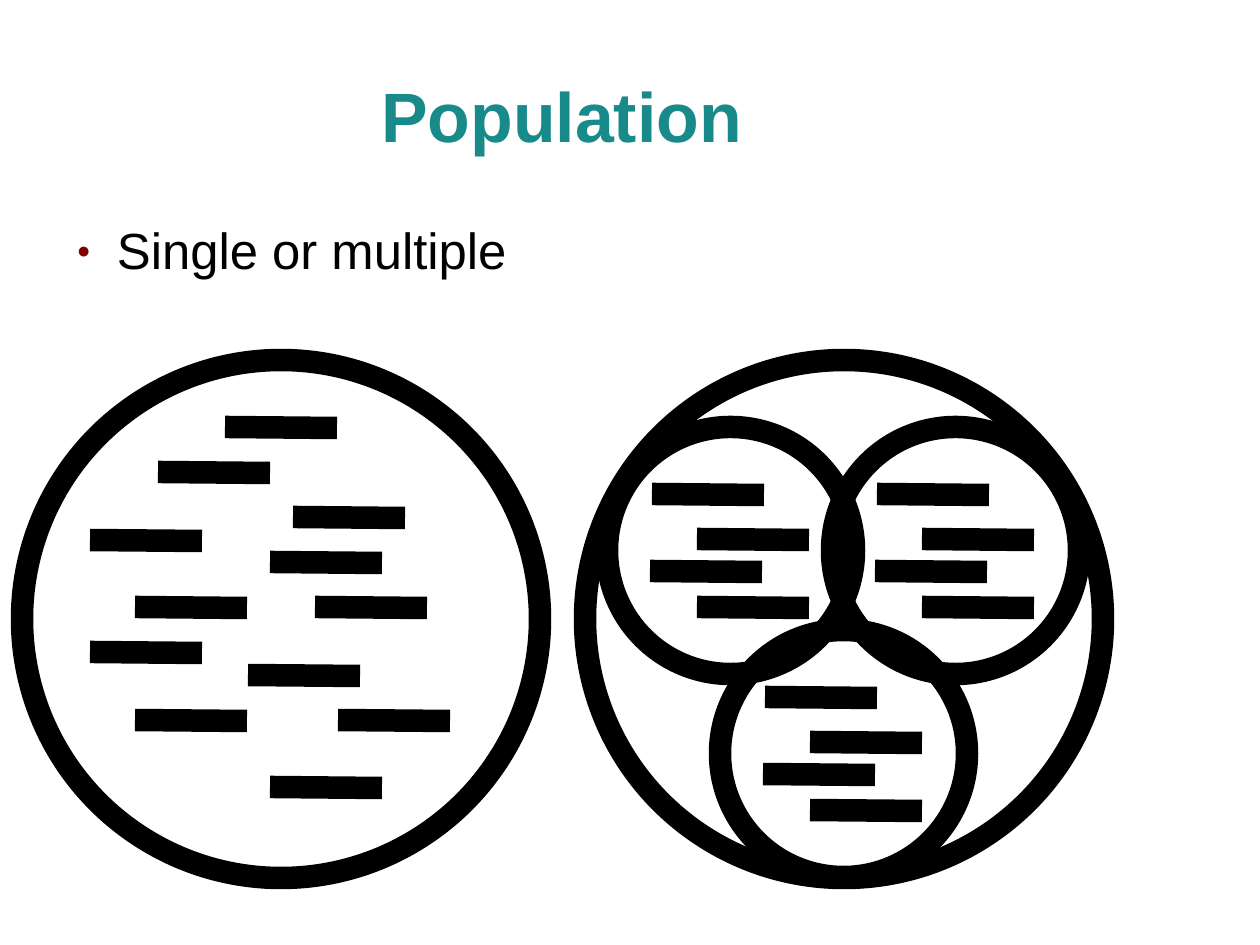
from lxml.etree import SubElement
from pptx import Presentation
from pptx.dml.color import RGBColor
from pptx.enum.shapes import MSO_CONNECTOR as Connector, MSO_SHAPE as Shape
from pptx.enum.text import MSO_ANCHOR as Anchor, PP_ALIGN as Align
from pptx.oxml.ns import qn
from pptx.util import Pt

PX = 8000  # EMU
BLACK = RGBColor(0x00, 0x00, 0x00)
TEAL = RGBColor(0x19, 0x8A, 0x8A)
MAROON = RGBColor(0x80, 0x00, 0x00)
FONT = "Arial"
STROKE = Pt(14.17)

POPULATION_SIZE = 518
POPULATIONS = [(22, 360), (585, 360)]
SINGLE_MEMBERS = [
    (158, 472), (90, 540), (293, 517), (135, 607), (225, 427), (270, 562),
    (90, 652), (315, 607), (248, 675), (338, 720), (135, 720), (270, 787),
]
SUBGROUP_SIZE = 247
SUBGROUPS = [(607, 427), (832, 427), (720, 630)]
SUBGROUP_MEMBERS = [(45, 67), (90, 112), (43, 144), (90, 180)]
MEMBER_LENGTH = 112
MEMBER_SLANT = 1


def px(*lengths):
    return [length * PX for length in lengths]


def add_text(page, area, text, size, color, top_inset, bold=False):
    """Add a one-paragraph text box and return its frame and paragraph."""
    frame = page.shapes.add_textbox(*px(*area)).text_frame
    frame.word_wrap = True
    frame.margin_left = frame.margin_right = frame.margin_bottom = 0
    frame.margin_top = top_inset * PX
    para = frame.paragraphs[0]
    para.line_spacing = 0.93
    span = para.add_run()
    span.text = text
    span.font.name = FONT
    span.font.size = Pt(size)
    span.font.bold = bold
    span.font.color.rgb = color
    return frame, para


def add_bullet(para, indent, hanging, color, percent):
    props = para._p.get_or_add_pPr()
    props.set("marL", str(indent * PX))
    props.set("indent", str(-hanging * PX))
    bullet_color = SubElement(props, qn("a:buClr"))
    SubElement(bullet_color, qn("a:srgbClr"), val=str(color))
    SubElement(props, qn("a:buSzPct"), val=str(percent * 1000))
    SubElement(props, qn("a:buFont"), typeface=FONT)
    SubElement(props, qn("a:buChar"), char="●")


def set_stroke(shape):
    shape.line.color.rgb = BLACK
    shape.line.width = STROKE


def add_circle(shapes, left, top, size):
    circle = shapes.add_shape(Shape.OVAL, *px(left, top, size, size))
    circle.shadow.inherit = False
    circle.fill.background()
    set_stroke(circle)


def add_member(shapes, left, top):
    ends = px(left, top, left + MEMBER_LENGTH, top + MEMBER_SLANT)
    member = shapes.add_connector(Connector.STRAIGHT, *ends)
    set_stroke(member)
    SubElement(member._element.spPr, qn("a:effectLst"))


def add_subgroup(page, left, top):
    shapes = page.shapes.add_group_shape().shapes
    for across, down in SUBGROUP_MEMBERS:
        add_member(shapes, left + across, top + down)
    add_circle(shapes, left, top, SUBGROUP_SIZE)


def main():
    deck = Presentation()
    deck.slide_width, deck.slide_height = px(1260, 945)
    page = deck.slides.add_slide(deck.slide_layouts[6])

    title, heading = add_text(
        page, (45, 38, 1034, 158), "Population", 44, TEAL, 5, bold=True)
    title.vertical_anchor = Anchor.MIDDLE
    heading.alignment = Align.CENTER

    _, point = add_text(
        page, (63, 221, 1134, 613), "Single or multiple", 32, BLACK, 3)
    point.space_after = Pt(14.3)
    add_bullet(point, 54, 40, MAROON, 45)

    for left, top in POPULATIONS:
        add_circle(page.shapes, left, top, POPULATION_SIZE)
    for left, top in SINGLE_MEMBERS:
        add_member(page.shapes, left, top)
    for left, top in SUBGROUPS:
        add_subgroup(page, left, top)

    deck.save("out.pptx")


if __name__ == "__main__":
    main()
